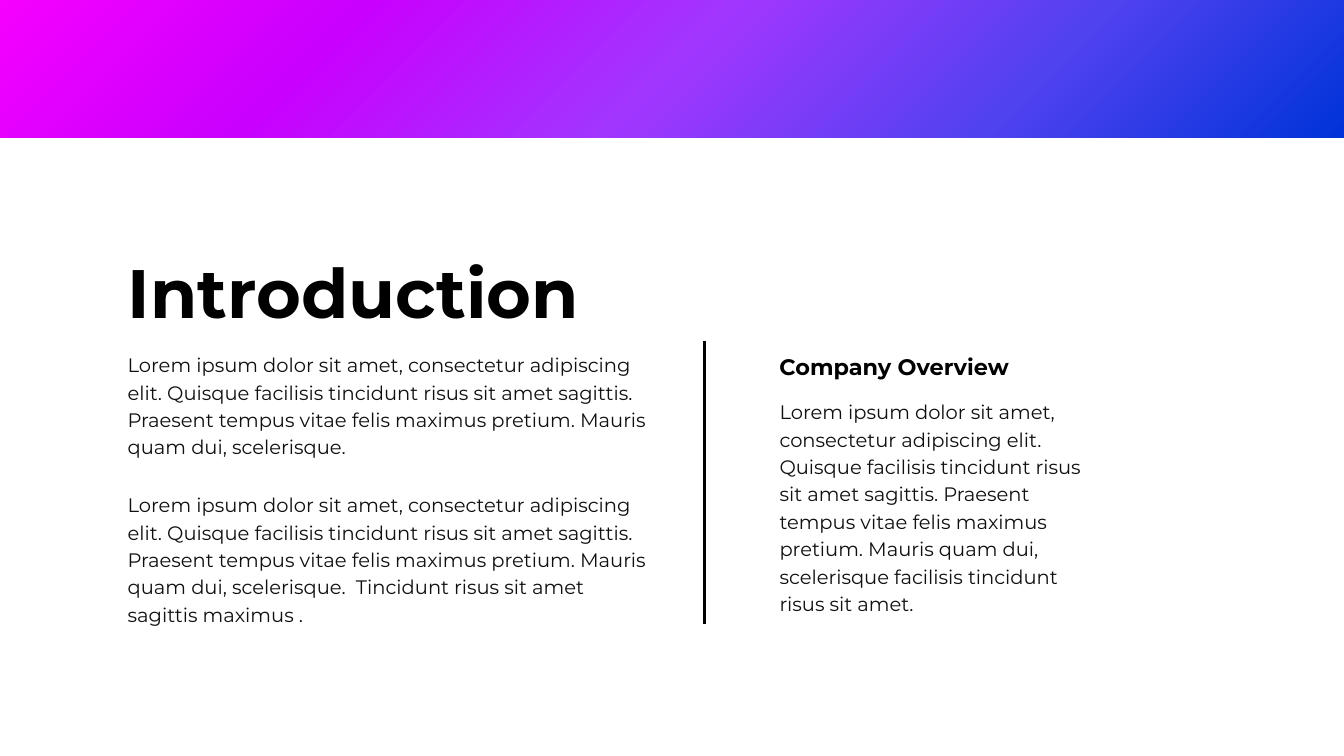
from copy import deepcopy

from pptx import Presentation
from pptx.dml.color import RGBColor
from pptx.enum.shapes import MSO_CONNECTOR, MSO_SHAPE
from pptx.oxml.ns import qn
from pptx.util import Inches, Pt

RECTANGLE = MSO_SHAPE.RECTANGLE
STRAIGHT = MSO_CONNECTOR.STRAIGHT

FONT = "Montserrat"
COLORS = {"black": "000000", "body": "101010", "magenta": "F600FE", "purple": "C900FE",
          "violet": "A136FF", "indigo": "5142F0", "blue": "0033D9"}
BANNER_COLORS = ("magenta", "purple", "violet", "indigo", "blue")
LEFT_X, RIGHT_X = 1.9, 11.6
LEFT_W, RIGHT_W = 7.87, 4.72
LOREM = ("Lorem ipsum dolor sit amet, consectetur adipiscing elit. Quisque facilisis "
         "tincidunt risus sit amet sagittis. Praesent tempus vitae felis maximus pretium. "
         "Mauris quam dui, scelerisque")


def rgb(name):
    """Return the named colour."""
    return RGBColor.from_string(COLORS[name])


def add_text(s, x, y, w, h, text, size=20.9, spacing=29.3, color="body", bold=False):
    """Add a wrapped text box without margins."""
    tf = s.shapes.add_textbox(Inches(x), Inches(y), Inches(w), Inches(h)).text_frame
    tf.word_wrap = True
    tf.margin_left = tf.margin_top = tf.margin_right = tf.margin_bottom = 0
    p = tf.paragraphs[0]
    p.text = text
    p.line_spacing = Pt(spacing)
    p.font.name = FONT
    p.font.size = Pt(size)
    p.font.bold = bold
    p.font.color.rgb = rgb(color)


def add_banner(s, w, h, names):
    """Add a top banner with evenly spaced diagonal gradient stops."""
    sp = s.shapes.add_shape(RECTANGLE, 0, 0, Inches(w), Inches(h))
    sp.shadow.inherit = False
    sp.line.fill.background()
    sp.fill.gradient()
    sp.fill.gradient_angle = 315
    stops = next(sp._element.spPr.iter(qn("a:gsLst")))
    for _ in names[2:]:
        stops.append(deepcopy(stops[0]))
    for i, (stop, name) in enumerate(zip(sp.fill.gradient_stops, names)):
        stop.position = i / (len(names) - 1)
        stop.color.rgb = rgb(name)


def add_divider(s, x, top, bottom):
    """Add a vertical rule between the columns."""
    line = s.shapes.add_connector(STRAIGHT, Inches(x), Inches(top), Inches(x), Inches(bottom))
    line.line.color.rgb = rgb("black")
    line.line.width = Pt(3)
    line._element.spPr.append(line._element.makeelement(qn("a:effectLst")))


def main():
    """Build the introduction slide."""
    prs = Presentation()
    prs.slide_width, prs.slide_height = Inches(20), Inches(11.25)
    s = prs.slides.add_slide(prs.slide_layouts[6])
    add_text(s, RIGHT_X, 5.19, 4.93, 0.43, "Company Overview", 24, 33.6, "black", True)
    add_text(s, LEFT_X, 3.52, 9.18, 1.36, "Introduction", 73.4, 102.8, "black", True)
    add_text(s, LEFT_X, 5.2, LEFT_W, 1.59, LOREM + ".")
    add_text(s, RIGHT_X, 5.9, RIGHT_W, 3.2, LOREM + " facilisis tincidunt risus sit amet.")
    add_text(s, LEFT_X, 7.28, LEFT_W, 1.99,
             LOREM + ".  Tincidunt risus sit amet sagittis maximus .")
    add_banner(s, 20, 2.05, BANNER_COLORS)
    add_divider(s, 10.48, 5.07, 9.28)
    prs.save("out.pptx")


if __name__ == "__main__":
    main()
